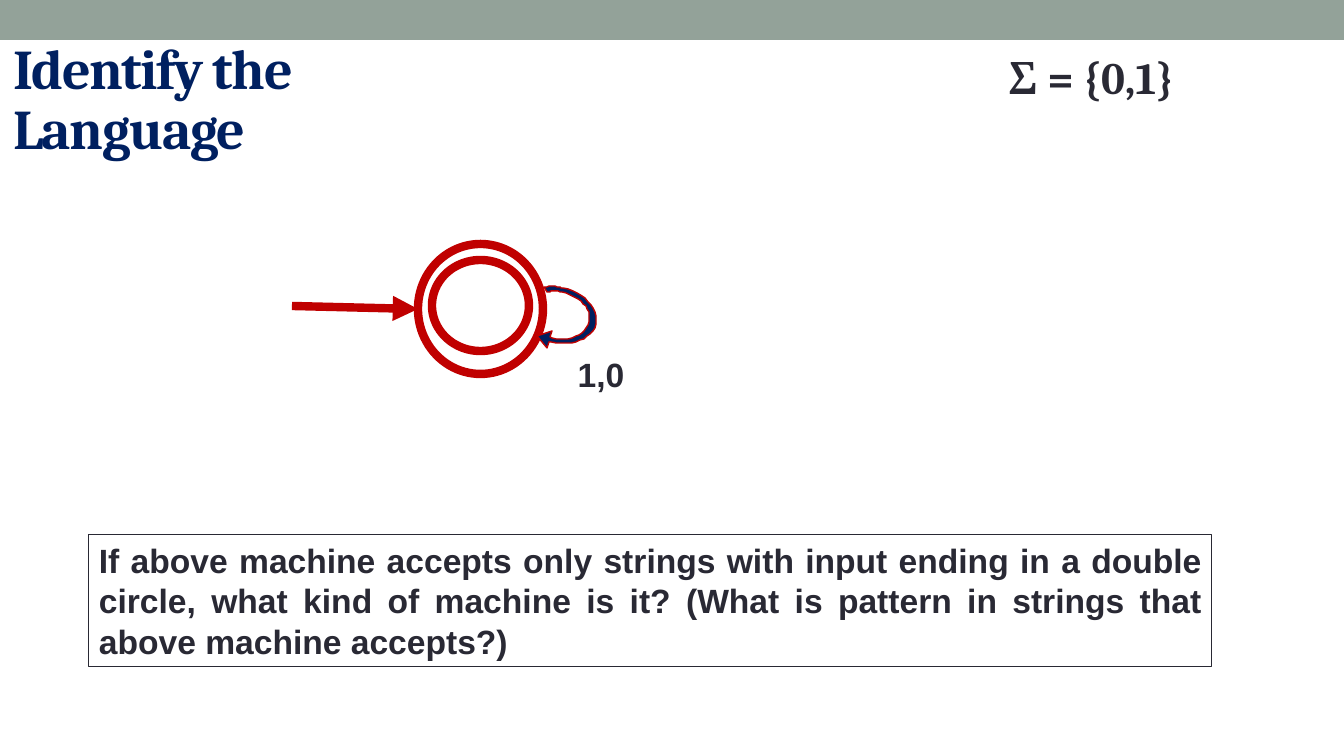
from dataclasses import dataclass

import pptx
import pptx.dml.color
import pptx.enum.shapes
import pptx.enum.text
import pptx.oxml
import pptx.oxml.ns
import pptx.util

SLIDE_WIDTH, SLIDE_HEIGHT = 1344, 756
EMU_PER_PX = pptx.util.Inches(7.5) / SLIDE_HEIGHT
SHAPES = pptx.enum.shapes.MSO_SHAPE
ALIGN = pptx.enum.text.PP_ALIGN
ANCHOR = pptx.enum.text.MSO_ANCHOR


@dataclass(frozen=True)
class Theme:
    band: str = "93A299"
    navy: str = "002060"
    red: str = "C00000"
    ink: str = "292934"
    white: str = "FFFFFF"
    heading_font: str = "Cambria"
    body_font: str = "Arial"
    title_size: int = 40
    alphabet_size: int = 32
    body_size: int = 24
    state_line: float = 6
    loop_line: float = 1
    box_line: float = 0.75


THEME = Theme()

# Loop arrow in px: two points make a line, four make a cubic curve.
LOOP_ARROW = [
    [(550, 337), (552, 338)],
    [(552, 338), (569, 342), (586, 335), (589, 322)],
    [(589, 322), (592, 309), (580, 296), (562, 292)],
    [(562, 292), (557, 291), (552, 291), (547, 292)],
    [(547, 292), (544, 287)],
    [(544, 287), (550, 286), (557, 286), (563, 288)],
    [(563, 288), (584, 292), (599, 308), (596, 324)],
    [(596, 324), (592, 339), (573, 347), (551, 342)],
    [(551, 342), (549, 342)],
    [(549, 342), (547, 348)],
    [(547, 348), (537, 336)],
    [(537, 336), (552, 331)],
]


def px(*lengths):
    return [pptx.util.Emu(round(length * EMU_PER_PX)) for length in lengths]


def rgb(value):
    return pptx.dml.color.RGBColor.from_string(value)


def style_shape(shape, fill=None, line=None, line_width=THEME.box_line):
    shape.shadow.inherit = False
    if fill:
        shape.fill.solid()
        shape.fill.fore_color.rgb = rgb(fill)
    else:
        shape.fill.background()
    if line:
        shape.line.color.rgb = rgb(line)
        shape.line.width = pptx.util.Pt(line_width)
    else:
        shape.line.fill.background()


def add_preset(slide, kind, box, **style):
    shape = slide.shapes.add_shape(kind, *px(*box))
    style_shape(shape, **style)
    return shape


def write_text(shape, text, size=THEME.body_size, font=THEME.body_font, color=THEME.ink,
               align=ALIGN.LEFT, anchor=ANCHOR.TOP, wrap=True, line_spacing=None, tracking=None):
    """Fill the shape with one bold paragraph; tracking is in points."""
    frame = shape.text_frame
    frame.word_wrap = wrap
    frame.auto_size = pptx.enum.text.MSO_AUTO_SIZE.NONE
    frame.vertical_anchor = anchor
    paragraph = frame.paragraphs[0]
    paragraph.alignment = align
    paragraph.line_spacing = line_spacing
    run = paragraph.add_run()
    run.text = text
    run.font.name = font
    run.font.size = pptx.util.Pt(size)
    run.font.bold = True
    run.font.color.rgb = rgb(color)
    if tracking:
        run.font._element.set("spc", str(tracking * 100))


def add_start_arrow(slide, start, end):
    arrow = slide.shapes.add_connector(
        pptx.enum.shapes.MSO_CONNECTOR.STRAIGHT, *px(*start, *end))
    arrow.line.color.rgb = rgb(THEME.red)
    arrow.line.width = pptx.util.Pt(THEME.state_line)
    line = arrow.line._get_or_add_ln()
    pptx.oxml.ns.qn("a:tailEnd")
    head = pptx.oxml.parse_xml(
        '<a:tailEnd xmlns:a="http://schemas.openxmlformats.org/drawingml/2006/main" type="triangle"/>')
    line.append(head)
    properties = arrow._element.spPr
    properties.append(properties.makeelement(pptx.oxml.ns.qn("a:effectLst"), {}))


def curve_points(start, control_1, control_2, end, steps=12):
    for step in range(1, steps + 1):
        t = step / steps
        weights = ((1 - t) ** 3, 3 * t * (1 - t) ** 2, 3 * t ** 2 * (1 - t), t ** 3)
        yield tuple(
            sum(weight * value for weight, value in zip(weights, values))
            for values in zip(start, control_1, control_2, end))


def add_loop_arrow(slide, segments):
    points = []
    for segment in segments:
        points += curve_points(*segment) if len(segment) == 4 else segment[1:]
    builder = slide.shapes.build_freeform(*segments[0][0], scale=EMU_PER_PX)
    builder.add_line_segments(points, close=True)
    style_shape(builder.convert_to_shape(), fill=THEME.navy, line=THEME.red,
                line_width=THEME.loop_line)


def add_title(slide, text, box):
    title = slide.shapes.title
    title.left, title.top, title.width, title.height = px(*box)
    write_text(title, text, size=THEME.title_size, font=THEME.heading_font,
               color=THEME.navy, line_spacing=0.9, tracking=-1)


def main():
    presentation = pptx.Presentation()
    presentation.slide_width, presentation.slide_height = px(SLIDE_WIDTH, SLIDE_HEIGHT)
    slide = presentation.slides.add_slide(presentation.slide_layouts.get_by_name("Title Only"))

    add_preset(slide, SHAPES.RECTANGLE, (0, 0, SLIDE_WIDTH, 40), fill=THEME.band)
    add_title(slide, "Identify the Language", (3, 36, 535, 101))

    for circle in ((418, 244, 125, 130), (432, 260, 97, 91)):
        add_preset(slide, SHAPES.OVAL, circle, line=THEME.red, line_width=THEME.state_line)
    add_start_arrow(slide, (292, 306), (418, 309))
    add_loop_arrow(slide, LOOP_ARROW)

    loop_label = add_preset(slide, SHAPES.RECTANGLE, (567, 349, 68, 50), line=THEME.white)
    write_text(loop_label, "1,0", align=ALIGN.CENTER, wrap=False)

    question = add_preset(slide, SHAPES.RECTANGLE, (89, 535, 1123, 132), line=THEME.ink)
    write_text(question, "If above machine accepts only strings with input ending in a double circle, "
               "what kind of machine is it? (What is pattern in strings that above machine accepts?)",
               align=ALIGN.JUSTIFY)

    alphabet = slide.shapes.add_textbox(*px(999, 45, 194, 65))
    write_text(alphabet, "Σ = {0,1}", size=THEME.alphabet_size, font=THEME.heading_font, wrap=False)

    presentation.save("out.pptx")


if __name__ == "__main__":
    main()
